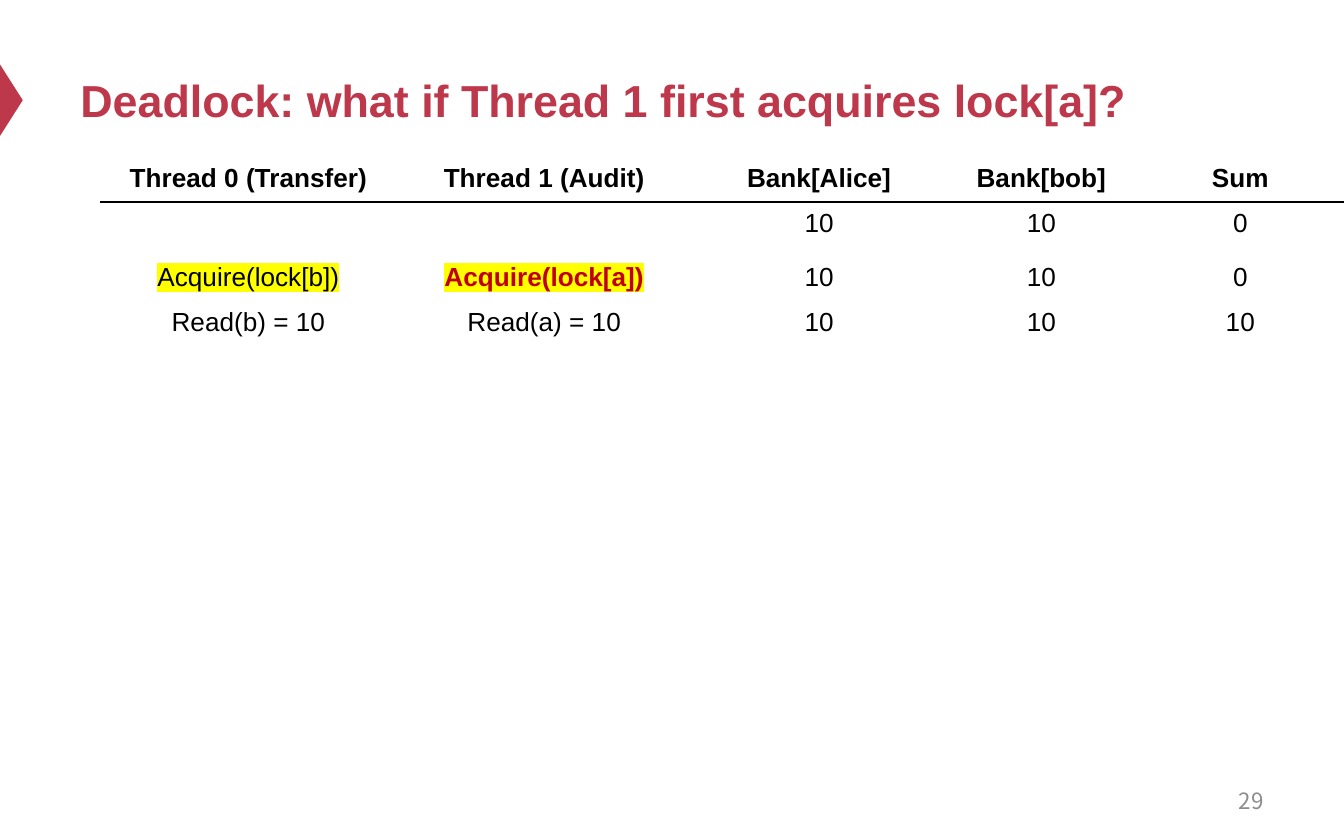
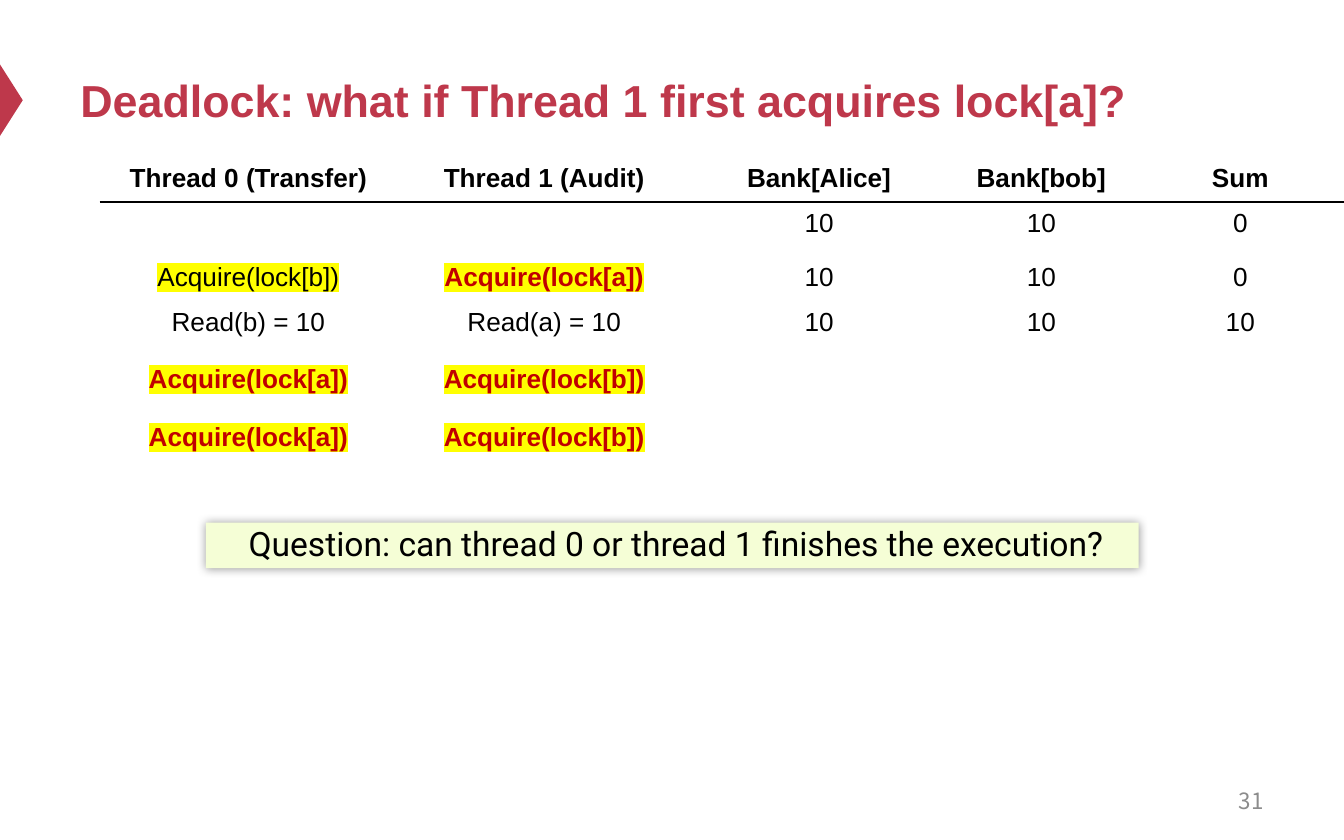
from dataclasses import dataclass

from lxml.etree import SubElement
from pptx import Presentation
from pptx.dml.color import RGBColor
from pptx.enum.shapes import MSO_SHAPE as Shape
from pptx.enum.text import MSO_ANCHOR as Anchor, MSO_AUTO_SIZE as AutoSize, PP_ALIGN as Align
from pptx.oxml import parse_xml
from pptx.oxml.ns import nsdecls, qn
from pptx.util import Cm, Pt

COLORS = {
    "accent": "BE384B",
    "page": "8C8C8C",
    "text": "000000",
    "warning": "C00000",
    "highlight": "FFFF00",
    "question": "F5FED6",
    "background": "FFFFFF",
}
TITLE = "Deadlock: what if Thread 1 first acquires lock[a]?"
COLUMN_WIDTHS = (5.59, 5.59, 4.8, 3.6, 3.92)
ROW_COUNT = 13
ROW_HEIGHT = 0.82
LINE_STEP = 1.1


@dataclass
class Line:
    text: str
    color: str = "text"
    bold: bool = False
    highlighted: bool = False


def contested(lock):
    return Line(f"Acquire(lock[{lock}])", "warning", True, True)


def plain_row(*texts, bold=False):
    return [[Line(text, bold=bold)] if text else [] for text in texts]


HEADER = plain_row("Thread 0 (Transfer)", "Thread 1 (Audit)",
                   "Bank[Alice]", "Bank[bob]", "Sum", bold=True)
START = plain_row("", "", "10", "10", "0")
FIRST_LOCKS = [[Line("Acquire(lock[b])", highlighted=True)], [contested("a")],
               *plain_row("10", "10", "0")]
READS = plain_row("Read(b) = 10", "Read(a) = 10", "10", "10", "10")
BLOCKED = [READS[0] + [contested("a")] * 2, READS[1] + [contested("b")] * 2, *READS[2:]]


class Deck:
    def __init__(self):
        self.presentation = Presentation()
        self.presentation.slide_width = Cm(25.4)
        self.presentation.slide_height = Cm(15.88)
        self.slide = None

    def color(self, name):
        return RGBColor.from_string(COLORS[name])

    def set_font(self, paragraph, size, color="text", name="Arial", bold=False):
        font = paragraph.font
        font.size, font.name, font.bold = Pt(size), name, bold
        font.color.rgb = self.color(color)

    def add_slide(self, page):
        """Start a slide with its marker, title and page number."""
        self.slide = self.presentation.slides.add_slide(self.presentation.slide_layouts[6])
        marker = self.add_shape(Shape.ISOSCELES_TRIANGLE, (-0.46, 1.68, 1.35, 0.43), "accent")
        marker.rotation = 90
        self.add_text(TITLE, (1.27, 0.64, 22.86, 2.49), 24, "accent", bold=True)
        self.add_text(str(page), (18.21, 14.71, 5.92, 0.84), 12, "page",
                      "Noto Sans CJK SC", align=Align.RIGHT)

    def add_shape(self, kind, box, color):
        shape = self.slide.shapes.add_shape(kind, *map(Cm, box))
        shape.fill.solid()
        shape.fill.fore_color.rgb = self.color(color)
        shape.line.fill.background()
        shape.shadow.inherit = False
        return shape

    def add_text(self, text, box, size, color, name="Arial", bold=False, align=Align.LEFT):
        frame = self.slide.shapes.add_textbox(*map(Cm, box)).text_frame
        frame.word_wrap = True
        frame.vertical_anchor = Anchor.MIDDLE
        paragraph = frame.paragraphs[0]
        paragraph.text, paragraph.alignment = text, align
        self.set_font(paragraph, size, color, name, bold)

    def add_question(self, text):
        shape = self.add_shape(Shape.RECTANGLE, (3.89, 9.88, 17.63, 0.86), "question")
        shadow = SubElement(shape._element.spPr.find(qn("a:effectLst")), qn("a:outerShdw"),
                            blurRad=str(Pt(5)), dist="0", dir="0", algn="ctr", rotWithShape="0")
        shade = SubElement(shadow, qn("a:srgbClr"), val=COLORS["text"])
        SubElement(shade, qn("a:alpha"), val="40000")
        frame = shape.text_frame
        frame.word_wrap = True
        frame.auto_size = AutoSize.SHAPE_TO_FIT_TEXT
        frame.vertical_anchor = Anchor.TOP
        frame.margin_left = frame.margin_right = Cm(0.2)
        frame.margin_top, frame.margin_bottom = Cm(0), Cm(0.1)
        paragraph = frame.paragraphs[0]
        paragraph.text, paragraph.alignment = text, Align.CENTER
        paragraph.space_before = Pt(3.6)
        properties = paragraph._p.get_or_add_pPr()
        properties.set("marL", str(Cm(1.22)))
        properties.set("indent", str(Cm(-1.07)))
        self.set_font(paragraph, 18, name="Roboto")

    def add_schedule(self, rows, height):
        """Draw the rows, then share the rest of the height among empty rows."""
        frame = self.slide.shapes.add_table(ROW_COUNT, len(COLUMN_WIDTHS), Cm(1.9), Cm(2.97),
                                            Cm(sum(COLUMN_WIDTHS)), Cm(height))
        table = frame.table
        table.first_row = table.horz_banding = False
        for column, width in zip(table.columns, COLUMN_WIDTHS):
            column.width = Cm(width)
        heights = [ROW_HEIGHT + LINE_STEP * (max(map(len, row)) - 1) for row in rows]
        empty_count = ROW_COUNT - len(rows)
        heights += [(height - sum(heights)) / empty_count] * empty_count
        rows = rows + [plain_row(*[""] * len(COLUMN_WIDTHS))] * empty_count
        for index, (lines_by_cell, row_height) in enumerate(zip(rows, heights)):
            table.rows[index].height = Cm(row_height)
            for column, lines in enumerate(lines_by_cell):
                cell = table.cell(index, column)
                cell.fill.background()
                self.set_borders(cell, top="text" if index == 1 else "background",
                                 bottom="text" if index == 0 else "background")
                self.fill_cell(cell, lines)

    def set_borders(self, cell, top, bottom):
        properties = cell._tc.get_or_add_tcPr()
        sides = {"lnL": "background", "lnR": "background", "lnT": top, "lnB": bottom}
        for position, (side, color) in enumerate(sides.items()):
            properties.insert(position, parse_xml(
                f'<a:{side} {nsdecls("a")} w="{Pt(1)}"><a:solidFill>'
                f'<a:srgbClr val="{COLORS[color]}"/></a:solidFill></a:{side}>'))

    def fill_cell(self, cell, lines):
        frame = cell.text_frame
        for index, line in enumerate(lines):
            paragraph = frame.add_paragraph() if index else frame.paragraphs[0]
            paragraph.alignment = Align.CENTER
            if index:
                paragraph.space_before = Pt(15.2)
            self.set_font(paragraph, 14, line.color, bold=line.bold)
            run = paragraph.add_run()
            run.text = line.text
            if line.highlighted:
                highlight = SubElement(run._r.get_or_add_rPr(), qn("a:highlight"))
                SubElement(highlight, qn("a:srgbClr"), val=COLORS["highlight"])


def main():
    deck = Deck()
    deck.add_slide(29)
    deck.add_schedule([HEADER, START, FIRST_LOCKS, READS], 12.19)

    deck.add_slide(31)
    deck.add_schedule([HEADER, START, FIRST_LOCKS, BLOCKED], 13.97)
    deck.add_question("Question: can thread 0 or thread 1 finishes the execution?")
    deck.presentation.save("out.pptx")


if __name__ == "__main__":
    main()
